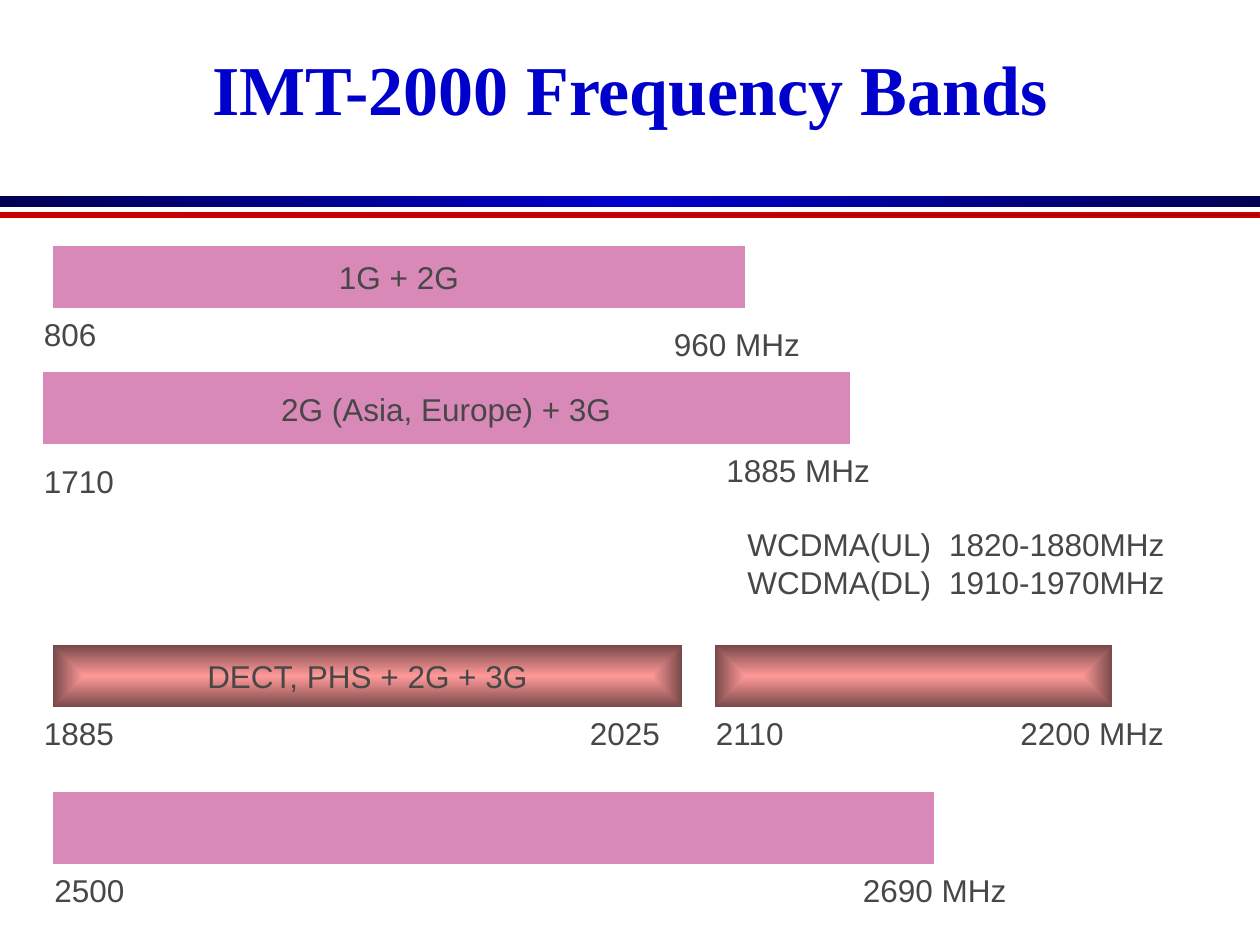
from pptx import Presentation
from pptx.dml.color import RGBColor
from pptx.enum.shapes import MSO_SHAPE
from pptx.enum.text import MSO_ANCHOR, PP_ALIGN
from pptx.oxml import parse_xml
from pptx.oxml.ns import nsdecls, qn
from pptx.util import Inches, Pt

COLORS = {"title": "0000CC", "navy": "000052", "red": "CC0000", "dark_red": "A30000",
          "pink": "D989B8", "salmon": "FF9999", "brown": "764747",
          "text": "474747", "edge": "FFFFFF"}
UNIT = Inches(1) // 12  # the slide is a grid of 120 columns by 90 rows
COLS, ROWS = 120, 90
LINEAR = '<a:lin ang="0" scaled="1"/>'
RECT_PATH = ('<a:path path="rect"><a:fillToRect l="50000" t="50000" r="50000" b="50000"/>'
             '</a:path>')

# Each band: row, height, bar colour, bars as (column, width, text),
# labels as (column, row, text); rows count from the top of the chart.
BANDS = [
    (0, 6, "pink", [(5, 66, "1G + 2G")], [(3, 6, "806"), (63, 7, "960 MHz")]),
    (12, 7, "pink", [(4, 77, "2G (Asia, Europe) + 3G")],
     [(3, 20, "1710"), (68, 19, "1885 MHz")]),
    (38, 6, "salmon", [(5, 60, "DECT, PHS + 2G + 3G"), (68, 38, "")],
     [(3, 44, "1885"), (55, 44, "2025"), (67, 44, "2110"), (96, 44, "2200 MHz")]),
    (52, 7, "pink", [(5, 84, "")], [(4, 59, "2500"), (81, 59, "2690 MHz")]),
]
NOTE = ["WCDMA(UL)\t1820-1880MHz", "WCDMA(DL)\t1910-1970MHz"]


def grid(*cells):
    return [round(c * UNIT) for c in cells]


def rgb(name):
    return RGBColor.from_string(COLORS[name])


def write(sp, lines, size=18, font="Arial", color="text", bold=False,
          align=PP_ALIGN.LEFT, anchor=MSO_ANCHOR.TOP, wrap=False, tab=None):
    """Fill a shape with one paragraph per line; tab is a stop in columns."""
    tf = sp.text_frame
    tf.word_wrap, tf.vertical_anchor = wrap, anchor
    for i, line in enumerate(lines):
        p = tf.add_paragraph() if i else tf.paragraphs[0]
        p.alignment = align
        if tab:
            p._p.get_or_add_pPr().append(parse_xml(
                f'<a:tabLst {nsdecls("a")}><a:tab pos="{round(tab * UNIT)}" algn="l"/>'
                '</a:tabLst>'))
        r = p.add_run()
        r.text = line
        r.font.size, r.font.name, r.font.bold = Pt(size), font, bold
        r.font.color.rgb = rgb(color)


def add_text(slide, box, lines, **style):
    write(slide.shapes.add_textbox(*grid(*box)), lines, **style)


def set_gradient(sp, names, shade):
    """Spread the named colours evenly along the given shade element."""
    step = 100000 // (len(names) - 1)
    stops = "".join(f'<a:gs pos="{i * step}"><a:srgbClr val="{COLORS[n]}"/></a:gs>'
                    for i, n in enumerate(names))
    sp.fill.gradient()
    spPr = sp._element.spPr
    spPr.replace(spPr.find(qn("a:gradFill")), parse_xml(
        f'<a:gradFill {nsdecls("a")} rotWithShape="1"><a:gsLst>{stops}</a:gsLst>'
        f'{shade}</a:gradFill>'))


def add_rect(slide, box, line=None, width=0.75):
    sp = slide.shapes.add_shape(MSO_SHAPE.RECTANGLE, *grid(*box))
    sp.shadow.inherit = False
    if line:
        sp.line.color.rgb = rgb(line)
        sp.line.width = Pt(width)
    else:
        sp.line.fill.background()
    return sp


def add_header(slide, x, y, w, h):
    """Title over a blue and a red rule at the foot of the box."""
    add_text(slide, (x + 6, y + 3.6, w - 12, 9.36), ["IMT-2000 Frequency Bands"],
             size=40, font="Times New Roman", color="title", bold=True,
             align=PP_ALIGN.CENTER, anchor=MSO_ANCHOR.BOTTOM, wrap=True)
    blue = add_rect(slide, (x, y + h - 2, w, 1))
    set_gradient(blue, ["navy", "title", "navy"], LINEAR)
    red = add_rect(slide, (x, y + h - 0.4, w, 0.4), line="red", width=1)
    set_gradient(red, ["red", "dark_red"], LINEAR)


def add_band(slide, x, y, band):
    row, height, color, bars, labels = band
    for col, width, text in bars:
        sp = add_rect(slide, (x + col, y + row, width, height), line="edge")
        if color == "salmon":
            set_gradient(sp, ["salmon", "brown"], RECT_PATH)
        else:
            sp.fill.solid()
            sp.fill.fore_color.rgb = rgb(color)
        if text:
            write(sp, [text], align=PP_ALIGN.CENTER, anchor=MSO_ANCHOR.MIDDLE)
    for col, label_row, text in labels:
        digits = len(text.split()[0])
        width = 2.4 + 1.67 * digits + (7 if "MHz" in text else 0)
        add_text(slide, (x + col, y + label_row, width, 4.8), [text])


def add_chart_area(slide, x, y):
    for band in BANDS:
        add_band(slide, x, y, band)
    add_text(slide, (x + 70, y + 26, 45, 8.4), NOTE, wrap=True, tab=19.2)


def main():
    prs = Presentation()
    prs.slide_width, prs.slide_height = grid(COLS, ROWS)
    slide = prs.slides.add_slide(prs.slide_layouts[6])
    add_header(slide, 0, 0, COLS, 20.7)
    add_chart_area(slide, 0, 23.4)
    prs.save("out.pptx")


if __name__ == "__main__":
    main()
